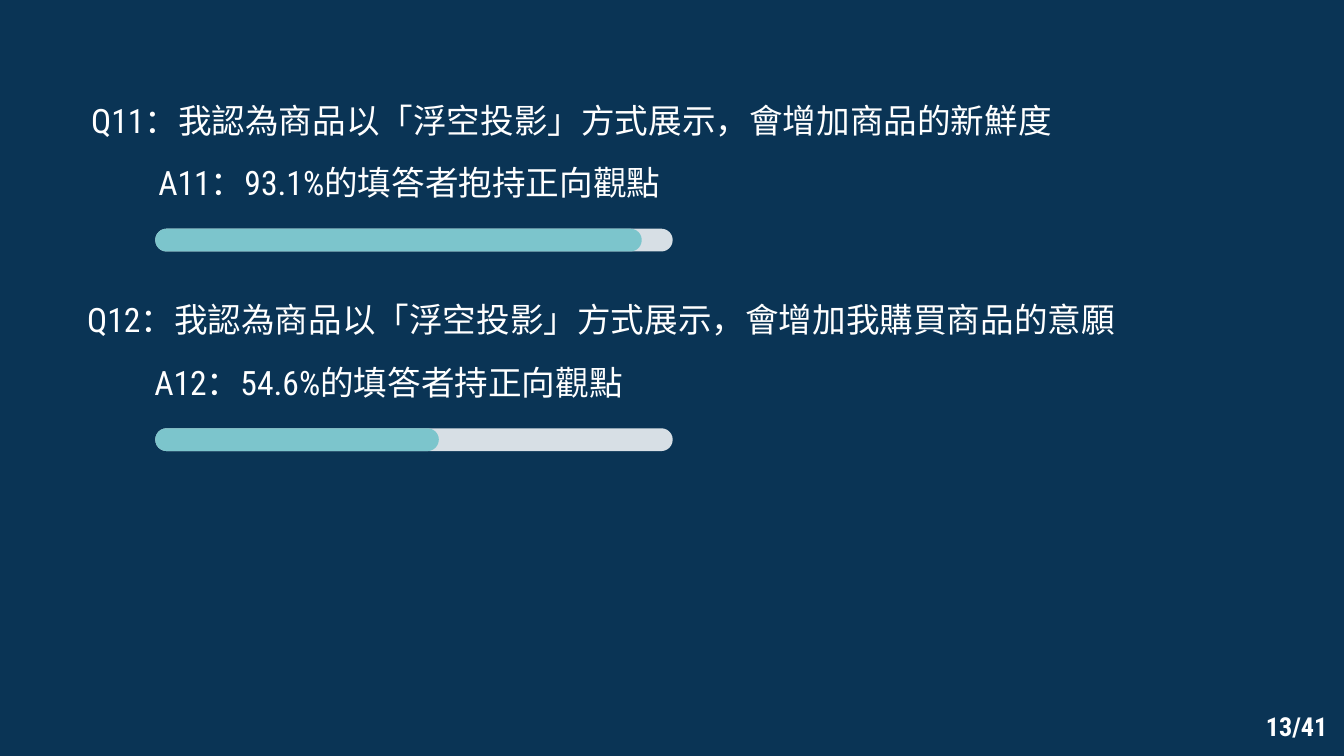
from dataclasses import dataclass

from lxml.etree import SubElement
from pptx import Presentation
from pptx.dml.color import RGBColor
from pptx.enum.shapes import MSO_SHAPE as Preset
from pptx.enum.text import MSO_AUTO_SIZE as AutoSize
from pptx.oxml.ns import qn
from pptx.util import Inches, Pt

WIDTH = Inches(10)
HEIGHT = WIDTH * 9 // 16
NAVY, WHITE, PALE, TEAL = "0A3455", "FFFFFF", "D7DFE5", "7CC5CC"
FONT = "Roboto Condensed"
BAR_LEFT, BAR_LENGTH, BAR_HEIGHT = 11.55, 38.5, 3.02
BAR_OFFSET = 18.85


@dataclass(frozen=True)
class Area:
    left: float
    top: float
    width: float
    height: float

    def lengths(self) -> tuple[int, ...]:
        return tuple(
            int(share * side / 100)
            for share, side in (
                (self.left, WIDTH), (self.top, HEIGHT),
                (self.width, WIDTH), (self.height, HEIGHT),
            )
        )


@dataclass(frozen=True)
class Finding:
    question: str
    answer: str
    area: Area
    filled: float


FINDINGS = (
    Finding(
        "Q11：我認為商品以「浮空投影」方式展示，會增加商品的新鮮度",
        "A11：93.1%的填答者抱持正向觀點",
        Area(5.8, 11.4, 83.3, 17.42), 36.2,
    ),
    Finding(
        "Q12：我認為商品以「浮空投影」方式展示，會增加我購買商品的意願",
        "A12：54.6%的填答者持正向觀點",
        Area(5.5, 37.8, 89, 17.42), 21.1,
    ),
)
PAGE_AREA = Area(93.2, 92.25, 6.8, 7.8)


def colour(value: str) -> RGBColor:
    return RGBColor.from_string(value)


def add_words(slide, area: Area, lines: tuple[str, ...], size: int, bold: bool = False):
    frame = slide.shapes.add_textbox(*area.lengths()).text_frame
    margins = {f"margin_{side}": Inches(0.1) for side in ("left", "top", "right", "bottom")}
    for key, value in {"word_wrap": True, **margins}.items():
        setattr(frame, key, value)
    for index, line in enumerate(lines):
        paragraph = frame.paragraphs[0] if index == 0 else frame.add_paragraph()
        run = paragraph.add_run()
        run.text = line
        for key, value in {"name": FONT, "size": Pt(size), "bold": bold}.items():
            setattr(run.font, key, value)
        run.font.color.rgb = colour(WHITE)
        SubElement(run.font._element, qn("a:ea")).set("typeface", FONT)
    return frame


def add_bar(group, area: Area, fill: str) -> None:
    left, top, length, thickness = area.lengths()
    shift = (length - thickness) // 2
    bar = group.shapes.add_shape(
        Preset.ROUND_2_SAME_RECTANGLE, left + shift, top - shift, thickness, length
    )
    bar.rotation = 90
    for corner in range(2):
        bar.adjustments[corner] = 0.5
    bar.shadow.inherit = False
    bar.fill.solid()
    bar.fill.fore_color.rgb = colour(fill)
    bar.line.fill.background()


def add_finding(slide, finding: Finding) -> None:
    words = add_words(slide, finding.area, (finding.question, finding.answer), 18)
    answer = words.paragraphs[1]
    for key, value in {"space_before": Pt(12), "space_after": Pt(12)}.items():
        setattr(answer, key, value)
    properties = answer._p.get_or_add_pPr()
    for key, value in {"marL": 0, "indent": Inches(0.5)}.items():
        properties.set(key, str(value))
    group = slide.shapes.add_group_shape()
    top = finding.area.top + BAR_OFFSET
    for length, fill in ((BAR_LENGTH, PALE), (finding.filled, TEAL)):
        add_bar(group, Area(BAR_LEFT, top, length, BAR_HEIGHT), fill)


def main() -> None:
    deck = Presentation()
    deck.slide_width, deck.slide_height = WIDTH, HEIGHT
    slide = deck.slides.add_slide(deck.slide_layouts[6])
    slide.background.fill.solid()
    slide.background.fill.fore_color.rgb = colour(NAVY)
    for finding in FINDINGS:
        add_finding(slide, finding)
    page = add_words(slide, PAGE_AREA, ("13/41",), 14, bold=True)
    page.auto_size = AutoSize.SHAPE_TO_FIT_TEXT
    deck.save("out.pptx")


if __name__ == "__main__":
    main()
